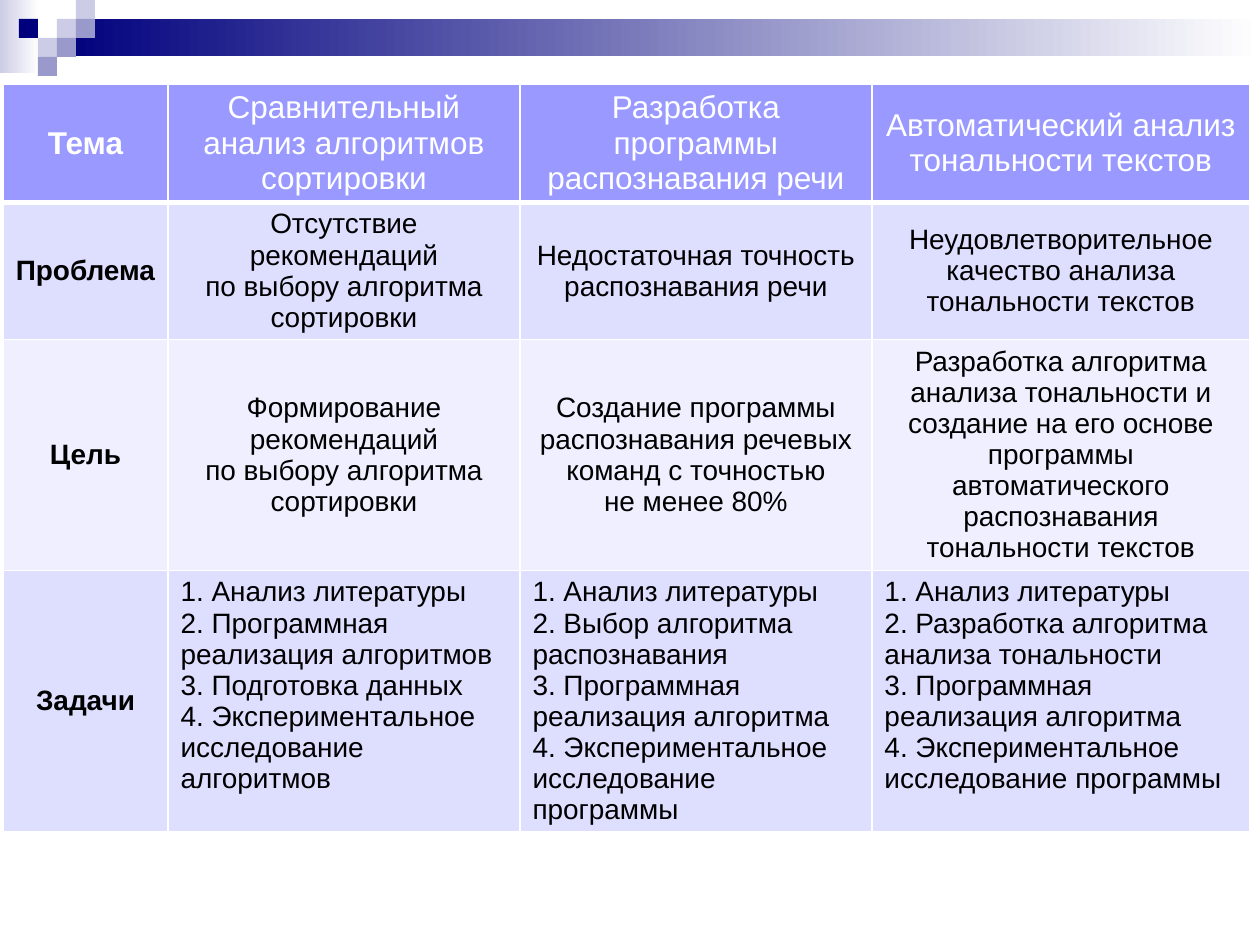
import pptx
import pptx.dml.color
import pptx.enum.shapes
import pptx.enum.text
import pptx.oxml
import pptx.oxml.ns
import pptx.util

ALIGN = pptx.enum.text.PP_ALIGN
ANCHOR = pptx.enum.text.MSO_ANCHOR
THEME = {
    "font": "Arial", "header_size": 18, "body_size": 16,
    "navy": "00007D", "mist": "CCCCE6", "lilac": "9999CC", "white": "FFFFFF", "black": "000000",
    "row_fills": ["9999FF", "DEDEFF", "EFEFFF", "DEDEFF"],
}

ROWS = [
    ["Тема", "Сравнительный анализ алгоритмов сортировки",
     "Разработка программы распознавания речи", "Автоматический анализ тональности текстов"],
    ["Проблема", "Отсутствие рекомендаций\vпо выбору алгоритма сортировки",
     "Недостаточная точность распознавания речи",
     "Неудовлетворительное качество анализа тональности текстов"],
    ["Цель", "Формирование рекомендаций\vпо выбору алгоритма сортировки",
     "Создание программы распознавания речевых команд с точностью\vне менее 80%",
     "Разработка алгоритма анализа тональности и создание на его основе программы "
     "автоматического распознавания тональности текстов"],
    ["Задачи",
     ["1. Анализ литературы", "2. Программная реализация алгоритмов",
      "3. Подготовка данных", "4. Экспериментальное исследование алгоритмов"],
     ["1. Анализ литературы", "2. Выбор алгоритма распознавания",
      "3. Программная реализация алгоритма", "4. Экспериментальное исследование программы"],
     ["1. Анализ литературы", "2. Разработка алгоритма анализа тональности",
      "3. Программная реализация алгоритма", "4. Экспериментальное исследование программы"]],
]
COLUMN_WIDTHS = [165, 352, 352, 378]
ROW_HEIGHTS = [118, 137, 231, 261]
TABLE_LEFT, TABLE_TOP = 3, 84

BANDS = [((0, 0, 39, 73), "mist"), ((57, 19, 1203, 37), "navy")]
SQUARE = 19
SQUARES = [(3, 1, "mist"), (4, 0, "mist"), (4, 1, "lilac"), (2, 2, "mist"),
           (1, 1, "navy"), (3, 2, "lilac"), (2, 3, "lilac")]


def px(value):
    return pptx.util.Emu(round(value * 914400 / 126))


def color(value):
    return pptx.dml.color.RGBColor.from_string(value)


def add_rectangle(slide, box):
    shape = slide.shapes.add_shape(pptx.enum.shapes.MSO_SHAPE.RECTANGLE, *map(px, box))
    shape.shadow.inherit = False
    shape.line.fill.background()
    return shape


def add_decoration(slide):
    for box, start in BANDS:
        fill = add_rectangle(slide, box).fill
        fill.gradient()
        fill.gradient_angle = 0
        for stop, position, name in zip(fill.gradient_stops, (0, 1), (start, "white")):
            stop.position = position
            stop.color.rgb = color(THEME[name])
    for column, row, name in SQUARES:
        fill = add_rectangle(slide, (column * SQUARE, row * SQUARE, SQUARE, SQUARE)).fill
        fill.solid()
        fill.fore_color.rgb = color(THEME[name])


def set_borders(cell, widths):
    properties = cell._tc.get_or_add_tcPr()
    for index, (side, width) in enumerate(widths.items()):
        properties.insert(index, pptx.oxml.parse_xml(
            f'<a:ln{side} {pptx.oxml.ns.nsdecls("a")} w="{pptx.util.Pt(width)}">'
            f'<a:solidFill><a:srgbClr val="{THEME["white"]}"/></a:solidFill></a:ln{side}>'))


def fill_cell(cell, content, row, column):
    is_list = isinstance(content, list)
    header = row == 0
    cell.vertical_anchor = ANCHOR.TOP if is_list else ANCHOR.MIDDLE
    cell.fill.solid()
    cell.fill.fore_color.rgb = color(THEME["row_fills"][row])
    set_borders(cell, {"L": 1, "R": 1, "T": 3 if row == 1 else 1, "B": 3 if header else 1})
    font_format = {
        "name": THEME["font"],
        "size": pptx.util.Pt(THEME["header_size" if header else "body_size"]),
        "bold": column == 0,
    }
    frame = cell.text_frame
    for index, text in enumerate(content if is_list else [content]):
        paragraph = frame.add_paragraph() if index else frame.paragraphs[0]
        paragraph.text = text
        paragraph.alignment = ALIGN.LEFT if is_list else ALIGN.CENTER
        for run in paragraph.runs:
            for name, value in font_format.items():
                setattr(run.font, name, value)
            run.font.color.rgb = color(THEME["white" if header else "black"])


def add_project_table(slide):
    box = (TABLE_LEFT, TABLE_TOP, sum(COLUMN_WIDTHS), sum(ROW_HEIGHTS))
    table = slide.shapes.add_table(len(ROWS), len(COLUMN_WIDTHS), *map(px, box)).table
    for column, width in zip(table.columns, COLUMN_WIDTHS):
        column.width = px(width)
    for row, height in zip(table.rows, ROW_HEIGHTS):
        row.height = px(height)
    for row, contents in enumerate(ROWS):
        for column, content in enumerate(contents):
            fill_cell(table.cell(row, column), content, row, column)


def main():
    presentation = pptx.Presentation()
    presentation.slide_width, presentation.slide_height = px(1260), px(945)
    slide = presentation.slides.add_slide(presentation.slide_layouts[6])
    add_decoration(slide)
    add_project_table(slide)
    presentation.save("out.pptx")


if __name__ == "__main__":
    main()
